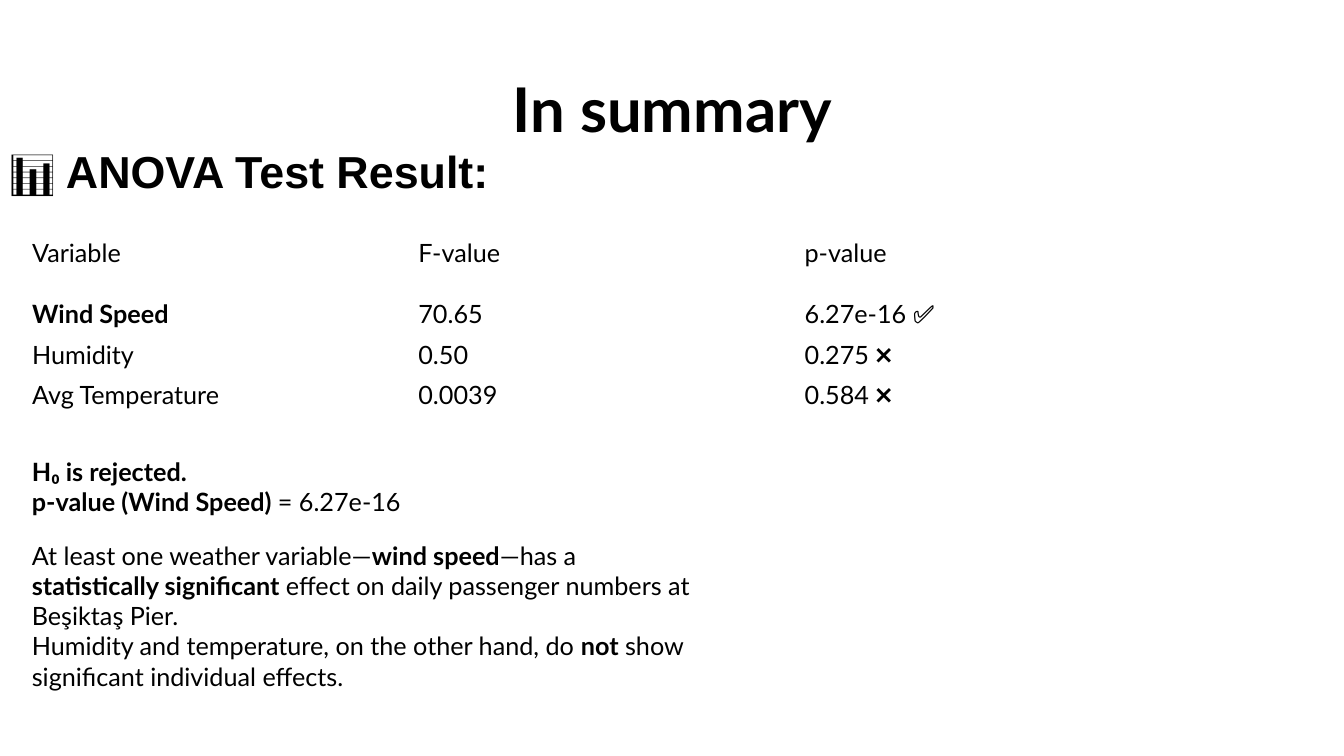
from dataclasses import dataclass

from pptx import Presentation
from pptx.dml.color import RGBColor
from pptx.enum.text import MSO_ANCHOR as Anchor, PP_ALIGN as Align
from pptx.util import Emu, Pt

EMU_PER_PX = 914400 / 100.8
PLAIN_TABLE_STYLE = "{2D5ABB26-0587-4C30-8999-92F81FD0307C}"


@dataclass(frozen=True)
class Theme:
    ink: RGBColor = RGBColor(0, 0, 0)
    body_font: str = "Lato"
    heading_font: str = "Arial"
    title_size: int = 44
    heading_size: int = 32
    body_size: int = 18


@dataclass(frozen=True)
class Box:
    left: int
    top: int
    width: int
    height: int

    def emu(self) -> tuple[Emu, ...]:
        return tuple(px(n) for n in (self.left, self.top, self.width, self.height))


@dataclass(frozen=True)
class TextBlock:
    text: str
    box: Box
    size: int
    font: str
    wrap: bool = True


THEME = Theme()

# Content: ** switches bold on and off, a newline is a line break
TITLE = "**In summary**"
TITLE_BOX = Box(93, 40, 1159, 146)

RESULTS = [
    ("Variable", "F-value", "p-value"),
    ("**Wind Speed**", "70.65", "6.27e-16 ✅"),
    ("Humidity", "0.50", "0.275 ❌"),
    ("Avg Temperature", "0.0039", "0.584 ❌"),
]
TABLE_BOX = Box(22, 212, 1159, 202)
HEADER_HEIGHT = 82

TEXT_BLOCKS = [
    TextBlock("**📊 ANOVA Test Result:**", Box(0, 139, 503, 65),
              THEME.heading_size, THEME.heading_font, wrap=False),
    TextBlock("**H₀ is rejected.\np-value (Wind Speed) **= 6.27e-16",
              Box(22, 451, 681, 71), THEME.body_size, THEME.body_font),
    TextBlock("At least one weather variable—**wind speed**—has a "
              "**statistically significant** effect on daily passenger numbers "
              "at Beşiktaş Pier.\nHumidity and temperature, on the other hand, "
              "do **not** show significant individual effects.",
              Box(22, 535, 681, 163), THEME.body_size, THEME.body_font),
]


def px(length: int) -> Emu:
    return Emu(round(length * EMU_PER_PX))


def write_text(frame, text: str, *, size: int = THEME.body_size,
               font: str = THEME.body_font, align: Align = Align.LEFT,
               line_spacing: float = 1.0) -> None:
    paragraph = frame.paragraphs[0]
    paragraph.alignment = align
    paragraph.line_spacing = line_spacing
    for part_index, part in enumerate(text.split("**")):
        for line_index, line in enumerate(part.split("\n")):
            if line_index:
                paragraph.add_line_break()
            if not line:
                continue
            run = paragraph.add_run()
            run.text = line
            run.font.name = font
            run.font.size = Pt(size)
            run.font.bold = part_index % 2 == 1
            run.font.color.rgb = THEME.ink


def place_title(slide) -> None:
    title = slide.shapes.title
    title.left, title.top, title.width, title.height = TITLE_BOX.emu()
    title.text_frame.vertical_anchor = Anchor.MIDDLE
    write_text(title.text_frame, TITLE, size=THEME.title_size,
               align=Align.CENTER, line_spacing=0.9)


def add_results_table(slide) -> None:
    row_count, column_count = len(RESULTS), len(RESULTS[0])
    frame = slide.shapes.add_table(row_count, column_count, *TABLE_BOX.emu())
    table = frame.table
    table.first_row = table.horz_banding = False
    table._tbl.tblPr[0].text = PLAIN_TABLE_STYLE

    row_height = (TABLE_BOX.height - HEADER_HEIGHT) // (row_count - 1)
    for row_index, values in enumerate(RESULTS):
        table.rows[row_index].height = px(row_height if row_index else HEADER_HEIGHT)
        for column_index, value in enumerate(values):
            cell = table.cell(row_index, column_index)
            cell.fill.background()
            cell.vertical_anchor = Anchor.MIDDLE
            write_text(cell.text_frame, value)


def add_text_block(slide, block: TextBlock) -> None:
    frame = slide.shapes.add_textbox(*block.box.emu()).text_frame
    frame.word_wrap = block.wrap
    write_text(frame, block.text, size=block.size, font=block.font)


def main() -> None:
    presentation = Presentation()
    presentation.slide_width, presentation.slide_height = px(1344), px(756)
    title_only = presentation.slide_layouts[5]
    slide = presentation.slides.add_slide(title_only)

    place_title(slide)
    add_results_table(slide)
    for block in TEXT_BLOCKS:
        add_text_block(slide, block)

    presentation.save("out.pptx")


if __name__ == "__main__":
    main()
